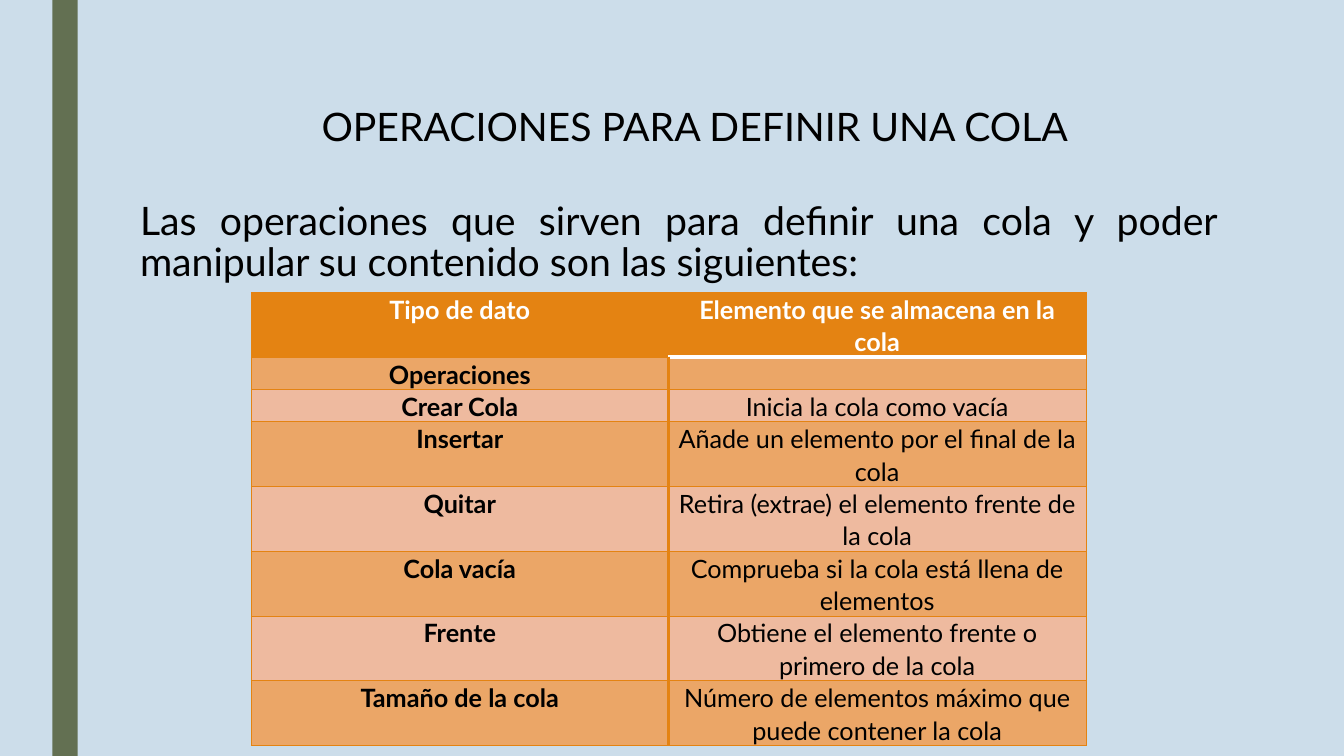
"""Build the slide that lists the operations defining a queue."""
import pptx
import pptx.dml.color
import pptx.enum.shapes
import pptx.enum.text
import pptx.oxml
import pptx.oxml.ns
import pptx.util
from pptx.util import Inches

RGBColor = pptx.dml.color.RGBColor
ALIGN = pptx.enum.text.PP_ALIGN
ANCHOR = pptx.enum.text.MSO_ANCHOR

BACKGROUND = RGBColor(0xCC, 0xDD, 0xEA)
OLIVE = RGBColor(0x63, 0x70, 0x52)
ORANGE = RGBColor(0xE4, 0x83, 0x12)
DARK_BAND = RGBColor(0xEB, 0xA6, 0x67)
LIGHT_BAND = RGBColor(0xEE, 0xBA, 0x9F)
BLACK = RGBColor(0x00, 0x00, 0x00)
WHITE = RGBColor(0xFF, 0xFF, 0xFF)

FONT = "Lato"
THIN, THICK = 0.5, 2.75
LINE_HEIGHT = 0.32

OPERATIONS = [
    ("Tipo de dato", "Elemento que se almacena en la cola", 2),
    ("Operaciones", "", 1),
    ("Crear Cola", "Inicia la cola como vacía", 1),
    ("Insertar", "Añade un elemento por el final de la cola", 2),
    ("Quitar", "Retira (extrae) el elemento frente de la cola", 2),
    ("Cola vacía", "Comprueba si la cola está llena de elementos", 2),
    ("Frente", "Obtiene el elemento frente o primero de la cola", 2),
    ("Tamaño de la cola", "Número de elementos máximo que puede contener la cola", 2),
]


def write_text(text_frame, text, size, alignment, spacing, color=BLACK, bold=False):
    """Write one formatted paragraph into a text frame."""
    text_frame.word_wrap = True
    text_frame.text = text
    paragraph = text_frame.paragraphs[0]
    paragraph.alignment = alignment
    paragraph.line_spacing = spacing
    for run in paragraph.runs:
        run.font.name = FONT
        run.font.size = pptx.util.Pt(size)
        run.font.bold = bold
        run.font.color.rgb = color


def add_side_bar(slide, height):
    """Add the olive bar along the left edge."""
    bar = slide.shapes.add_shape(
        pptx.enum.shapes.MSO_SHAPE.RECTANGLE, Inches(0.52), 0, Inches(0.25), height
    )
    bar.shadow.inherit = False
    bar.fill.solid()
    bar.fill.fore_color.rgb = OLIVE
    bar.line.fill.background()


def place_title(slide, text):
    """Move the title placeholder and write its text."""
    title = slide.shapes.title
    title.left, title.top = Inches(2.32), Inches(0.63)
    title.width, title.height = Inches(9.14), Inches(1.15)
    title.text_frame.vertical_anchor = ANCHOR.MIDDLE
    title.text_frame.margin_top = Inches(0.2)
    write_text(title.text_frame, text, 28, ALIGN.CENTER, 0.89)


def add_introduction(slide, text):
    """Add the justified sentence above the table."""
    box = slide.shapes.add_textbox(Inches(1.29), Inches(1.95), Inches(10.88), Inches(4.85))
    write_text(box.text_frame, text, 28, ALIGN.JUSTIFY, 0.89)


def set_border(cell, side, color, width):
    """Draw one side of a cell, named L, R, T or B."""
    line = pptx.oxml.parse_xml(
        f'<a:ln{side} {pptx.oxml.ns.nsdecls("a")} w="{pptx.util.Pt(width)}">'
        f'<a:solidFill><a:srgbClr val="{color}"/></a:solidFill></a:ln{side}>'
    )
    cell._tc.get_or_add_tcPr().append(line)


def format_cell(cell, text, row, column):
    """Write a cell and give it the borders and fill of its place."""
    is_header = row == 0
    cell.margin_left = cell.margin_right = Inches(0.07)
    cell.margin_top = cell.margin_bottom = 0
    cell.vertical_anchor = ANCHOR.TOP
    write_text(
        cell.text_frame, text, 18, ALIGN.CENTER, 1.07,
        WHITE if is_header else BLACK, is_header or column == 0,
    )
    divider = THIN if is_header else THICK
    under_header = (WHITE, THICK) if column == 1 else (ORANGE, THIN)
    set_border(cell, "L", ORANGE, divider if column == 1 else THIN)
    set_border(cell, "R", ORANGE, divider if column == 0 else THIN)
    set_border(cell, "T", *(under_header if row == 1 else (ORANGE, THIN)))
    set_border(cell, "B", *(under_header if is_header else (ORANGE, THIN)))
    cell.fill.solid()
    band = DARK_BAND if row % 2 else LIGHT_BAND
    cell.fill.fore_color.rgb = ORANGE if is_header else band


def add_operations_table(slide):
    """Add the table of queue operations."""
    total_lines = sum(lines for _, _, lines in OPERATIONS)
    table = slide.shapes.add_table(
        len(OPERATIONS), 2, Inches(2.49), Inches(2.9),
        Inches(8.28), Inches(LINE_HEIGHT * total_lines),
    ).table
    for row, (name, description, lines) in enumerate(OPERATIONS):
        table.rows[row].height = Inches(LINE_HEIGHT * lines)
        for column, text in enumerate((name, description)):
            format_cell(table.cell(row, column), text, row, column)


def main():
    """Build and save the presentation."""
    presentation = pptx.Presentation()
    presentation.slide_width = Inches(13.33)
    presentation.slide_height = Inches(7.5)
    slide = presentation.slides.add_slide(presentation.slide_layouts[5])
    slide.background.fill.solid()
    slide.background.fill.fore_color.rgb = BACKGROUND
    add_side_bar(slide, presentation.slide_height)
    place_title(slide, "OPERACIONES PARA DEFINIR UNA COLA")
    add_introduction(
        slide,
        "Las operaciones que sirven para definir una cola y poder "
        "manipular su contenido son las siguientes:",
    )
    add_operations_table(slide)
    presentation.save("out.pptx")


if __name__ == "__main__":
    main()
